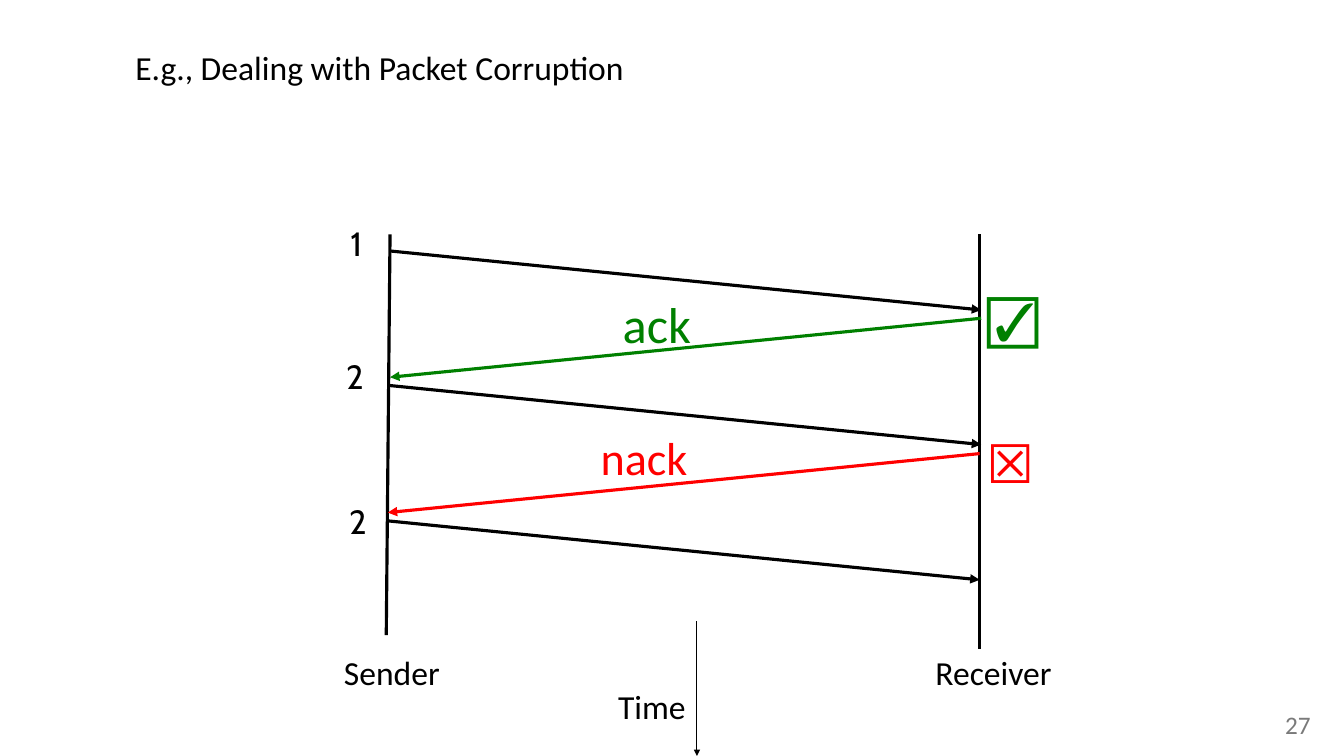
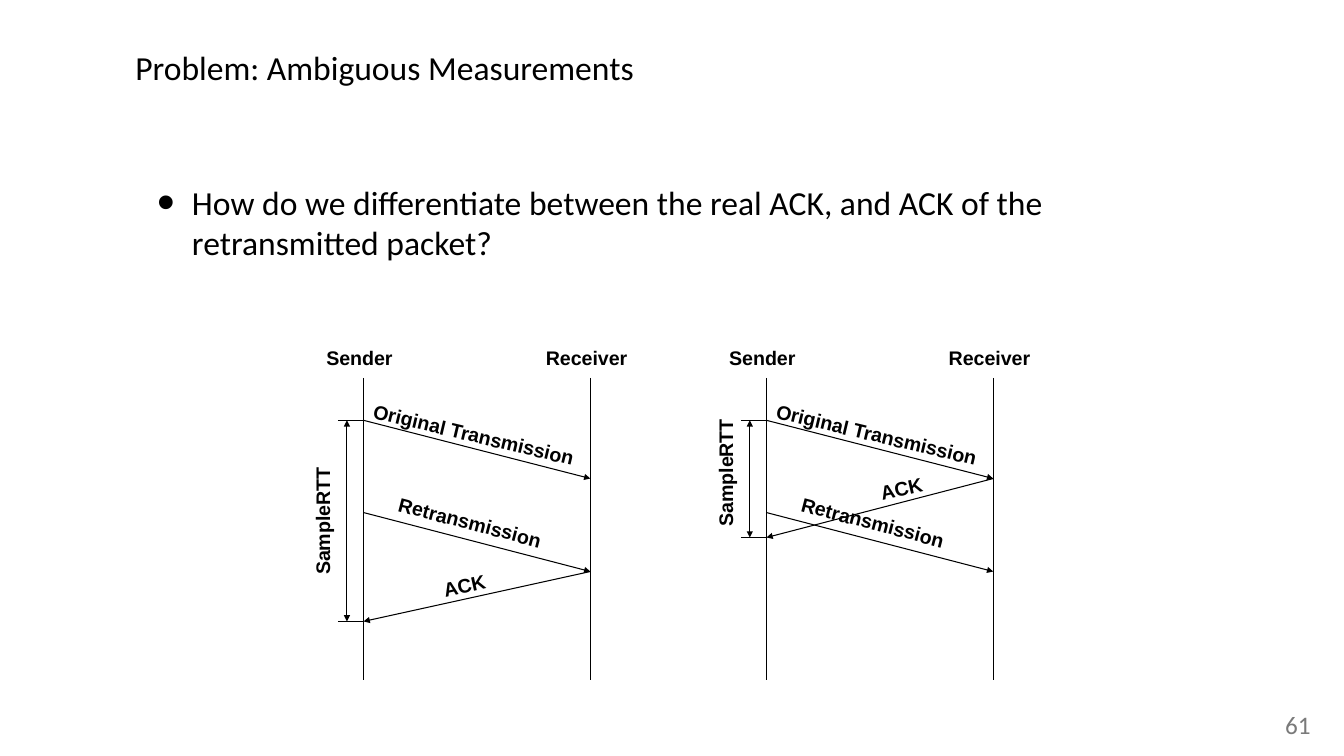
"""Build two slides on acknowledgements and ambiguous round-trip measurements."""
from lxml import etree
from pptx import Presentation, util as u
from pptx.dml.color import RGBColor
from pptx.enum import shapes, text
from pptx.oxml.ns import qn

PX = 9144


class Theme:
    black = RGBColor(0x00, 0x00, 0x00)
    green = RGBColor(0x00, 0x80, 0x00)
    red = RGBColor(0xFF, 0x00, 0x00)
    grey = RGBColor(0x7A, 0x7A, 0x7A)
    body = {"name": "Calibri", "size": u.Pt(32)}
    digit = {"name": "Cabin", "size": u.Pt(32)}
    mark = {"name": "Arial", "size": u.Pt(50.67)}
    ack = {"name": "Calibri", "size": u.Pt(48)}
    nack = {"name": "Calibri", "size": u.Pt(44)}
    label = {"name": "Arial", "size": u.Pt(18.67), "bold": True}
    number = {"name": "Calibri", "size": u.Pt(24)}
    thin, thick = u.Pt(1), u.Pt(3)


def add_text(s, words, box, font, color=Theme.black, inset=(13, 6), wrap=False,
             align=text.PP_ALIGN.CENTER, anchor=text.MSO_ANCHOR.TOP, rotation=0,
             fit=text.MSO_AUTO_SIZE.SHAPE_TO_FIT_TEXT):
    sp = s.shapes.add_textbox(*(v * PX for v in box))
    sp.rotation = rotation
    tf = sp.text_frame
    dx, dy = (v * PX for v in inset)
    frame = {"margin_left": dx, "margin_right": dx, "margin_top": dy, "margin_bottom": dy,
             "word_wrap": wrap, "vertical_anchor": anchor, "auto_size": fit}
    for key, value in frame.items():
        setattr(tf, key, value)
    p = tf.paragraphs[0]
    p.alignment = align
    r = p.add_run()
    r.text = words
    for key, value in font.items():
        setattr(r.font, key, value)
    r.font.color.rgb = color
    return p


def add_line(s, x1, y1, x2, y2, width=Theme.thin, color=Theme.black, ends=()):
    c = s.shapes.add_connector(shapes.MSO_CONNECTOR.STRAIGHT, *(v * PX for v in (x1, y1, x2, y2)))
    c.line.width = width
    c.line.color.rgb = color
    spPr = c.element.spPr
    for end in ends:
        etree.SubElement(spPr.find(qn("a:ln")), qn(f"a:{end}End"), type="triangle")
    etree.SubElement(spPr, qn("a:effectLst"))


prs = Presentation()
prs.slide_width, prs.slide_height = 1778 * PX, 1000 * PX

slides = []
for title, number in [("E.g., Dealing with Packet Corruption", "27"),
                      ("Problem: Ambiguous Measurements", "61")]:
    s = prs.slides.add_slide(prs.slide_layouts[6])
    add_text(s, title, (173, 0, 1431, 178), Theme.body, inset=(6, 6), wrap=True,
             align=text.PP_ALIGN.LEFT, anchor=text.MSO_ANCHOR.MIDDLE,
             fit=text.MSO_AUTO_SIZE.NONE)
    add_text(s, number, (1694, 938, 46, 50), Theme.number, Theme.grey, inset=(0, 0))
    slides.append(s)
corruption, ambiguity = slides

add_line(corruption, 922, 822, 922, 1000, ends=["tail"])
add_line(corruption, 516, 310, 511, 840, Theme.thick)
add_line(corruption, 1296, 310, 1296, 858, Theme.thick)
for x1, y, x2, color in [(516, 332, 1298, Theme.black), (1298, 421, 516, Theme.green),
                         (516, 510, 1298, Theme.black), (1296, 600, 513, Theme.red),
                         (513, 689, 1296, Theme.black)]:
    add_line(corruption, x1, y, x2, y + 78, Theme.thick, color, ["tail"])

for words, x, y, w in [("Time", 804, 900, 117), ("Sender", 441, 855, 155),
                       ("Receiver", 1223, 855, 183)]:
    add_text(corruption, words, (x, y, w, 67), Theme.body, inset=(13, 7),
             anchor=text.MSO_ANCHOR.MIDDLE)
for words, x, y in [("1", 447, 289), ("2", 445, 465), ("2", 449, 656)]:
    add_text(corruption, words, (x, y, 49, 66), Theme.digit, inset=(12, 6))
for words, box, font, color, wrap in [
        ("☑", (1295, 372, 89, 95), Theme.mark, Theme.green, True),
        ("☒", (1295, 564, 82, 95), Theme.mark, Theme.red, True),
        ("ack", (813, 383, 112, 91), Theme.ack, Theme.green, False),
        ("nack", (784, 563, 136, 84), Theme.nack, Theme.red, False)]:
    add_text(corruption, words, box, font, color, inset=(10, 5), wrap=wrap)

p = add_text(ambiguity, "How do we differentiate between the real ACK, and ACK of the "
             "retransmitted packet?", (173, 240, 1431, 629), Theme.body, inset=(0, 0),
             wrap=True, align=text.PP_ALIGN.LEFT, fit=text.MSO_AUTO_SIZE.NONE)
pPr = p._p.get_or_add_pPr()
pPr.set("marL", str(81 * PX))
pPr.set("indent", str(-46 * PX))
etree.SubElement(pPr, qn("a:buSzPct"), val="150000")
etree.SubElement(pPr, qn("a:buFont"), typeface="Arial")
etree.SubElement(pPr, qn("a:buChar"), char="•")

for sender, ack_from, ack_to, ack_x, ack_y, rtt_y in [(481, 756, 822, 92, 753, 667),
                                                      (1014, 633, 711, 137, 624, 603)]:
    receiver = sender + 300
    for x in (sender, receiver):
        add_line(ambiguity, x, 500, x, 900)
    for y1, y2 in [(556, 633), (678, 756)]:
        add_line(ambiguity, sender, y1, receiver, y2, ends=["tail"])
    add_line(ambiguity, receiver, ack_from, sender, ack_to, ends=["tail"])
    for y in (556, ack_to):
        add_line(ambiguity, sender - 34, y, sender, y)
    add_line(ambiguity, sender - 22, ack_to, sender - 22, 556, ends=["head", "tail"])
    for words, dx, y, w, rotation in [("ACK", ack_x, ack_y, 83, 347.4),
                                      ("Retransmission", 29, 669, 223, 14.6),
                                      ("Original Transmission", -5, 553, 301, 13.4),
                                      ("SampleRTT", -139, rtt_y, 171, 270),
                                      ("Sender", -63, 451, 115, 0),
                                      ("Receiver", 227, 451, 136, 0)]:
        add_text(ambiguity, words, (sender + dx, y, w, 45), Theme.label, rotation=rotation)

prs.save("out.pptx")
